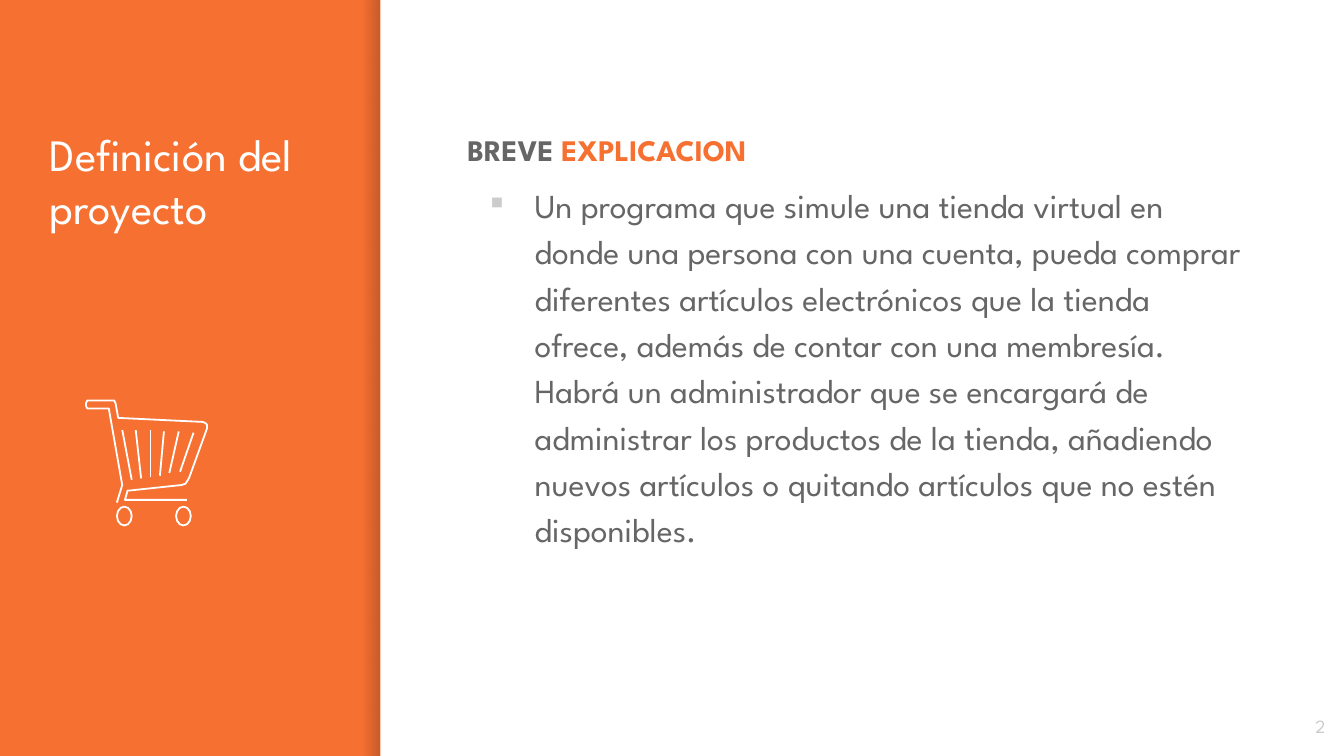
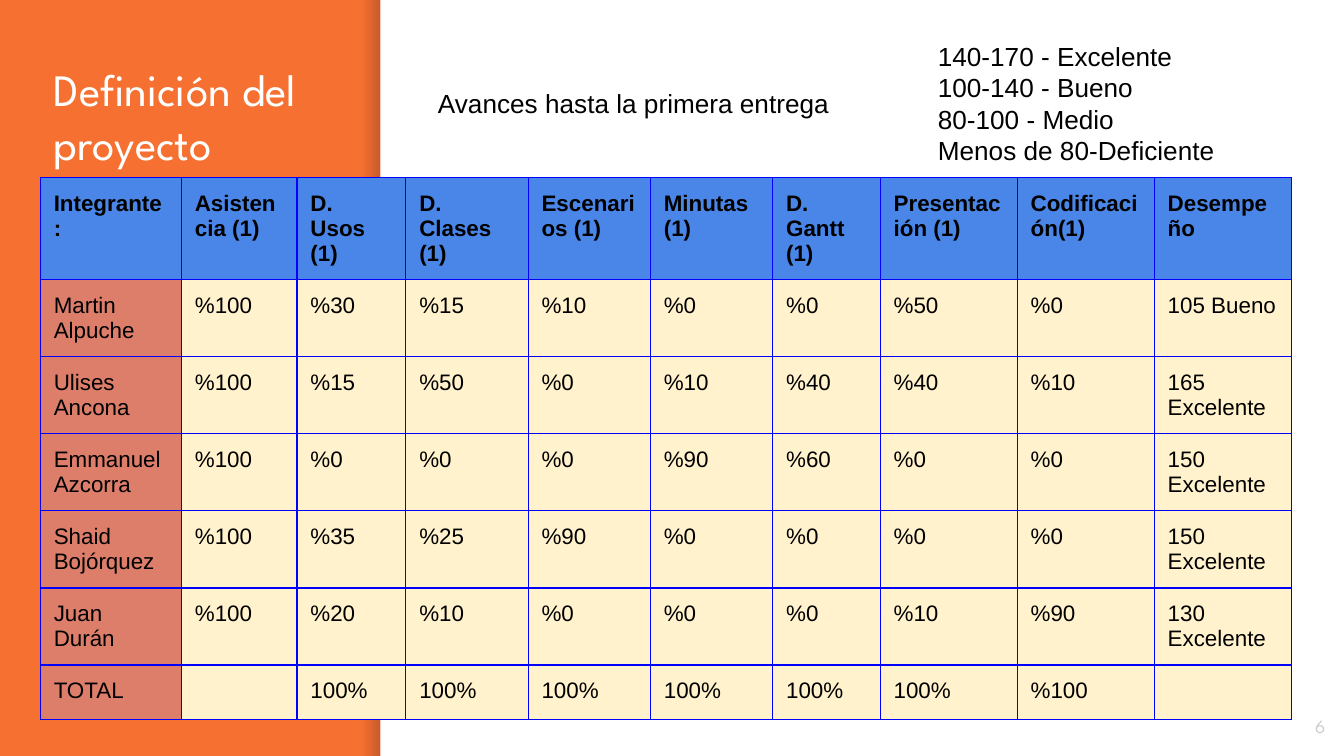
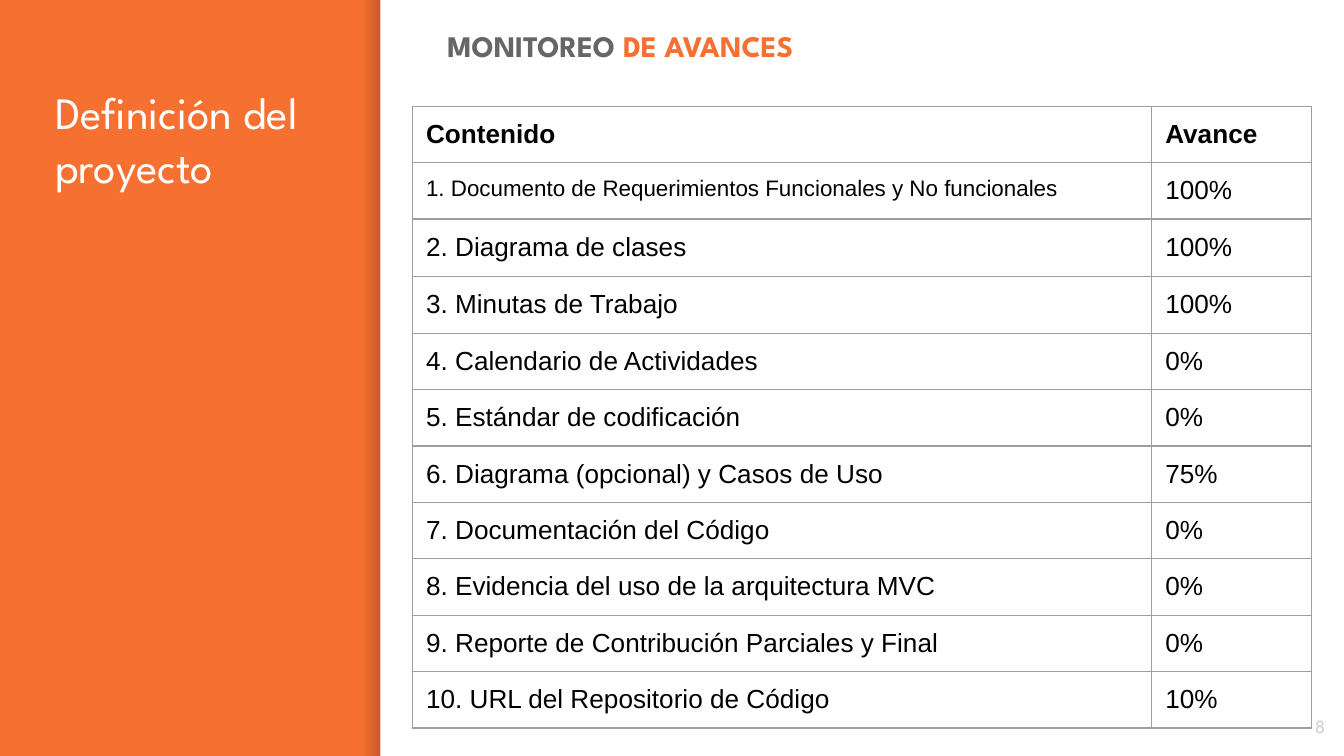
from lxml import etree
from pptx import Presentation
from pptx import util as u
from pptx.dml.color import RGBColor
from pptx.enum import shapes, text
from pptx.oxml import ns

COLOURS = {
    "orange": "F67031", "white": "FFFFFF", "grey": "666666", "pale": "CCCCCC",
    "black": "000000", "shade": "000014", "header": "4A86E8", "member": "DD7E6B",
    "score": "FFF2CC", "blue_rule": "0000FF", "grey_rule": "9E9E9E",
}
STYLES = {
    "title": ({"name": "League Spartan", "size": u.Pt(24), "bold": False}, "white"),
    "heading": ({"name": "League Spartan", "size": u.Pt(16), "bold": True}, "grey"),
    "accent": ({"name": "League Spartan", "size": u.Pt(16), "bold": True}, "orange"),
    "body": ({"name": "League Spartan", "size": u.Pt(18), "bold": False}, "grey"),
    "number": ({"name": "League Spartan", "size": u.Pt(10), "bold": False}, "pale"),
    "note": ({"name": "Arial", "size": u.Pt(14), "bold": False}, "black"),
    "note_bold": ({"name": "Arial", "size": u.Pt(14), "bold": True}, "black"),
    "small": ({"name": "Arial", "size": u.Pt(12), "bold": False}, "black"),
    "small_bold": ({"name": "Arial", "size": u.Pt(12), "bold": True}, "black"),
}
PAGE_SIZE = (10, 10 * 9 / 16)
BODY_SIZE = (5.98, 4.13)
EXPLANATION = (
    "Un programa que simule una tienda virtual en donde una persona con una cuenta, "
    "pueda comprar diferentes artículos electrónicos que la tienda ofrece, además de "
    "contar con una membresía. Habrá un administrador que se encargará de administrar "
    "los productos de la tienda, añadiendo nuevos artículos o quitando artículos que no "
    "estén disponibles."
)
SCALE = ["140-170 - Excelente", "100-140 - Bueno", "80-100 - Medio", "Menos de 80-Deficiente"]
MEMBER_WIDTHS = [1.05, 0.86, 0.81, 0.91, 0.91, 0.91, 0.8, 1.02, 1.02, 1.02]
MEMBER_HEIGHTS = [0.76] + [0.57] * 5 + [0.4]
MEMBER_ROWS = [
    ["Integrante:", "Asistencia (1)", "D. Usos\n(1)", "D. Clases\n(1)", "Escenarios (1)",
     "Minutas\n(1)", "D. Gantt\n(1)", "Presentación (1)", "Codificación(1)", "Desempeño"],
    ["Martin Alpuche", "%100", "%30", "%15", "%10", "%0", "%0", "%50", "%0", "105 Bueno"],
    ["Ulises Ancona", "%100", "%15", "%50", "%0", "%10", "%40", "%40", "%10", "165 Excelente"],
    ["Emmanuel Azcorra", "%100", "%0", "%0", "%0", "%90", "%60", "%0", "%0", "150 Excelente"],
    ["Shaid Bojórquez", "%100", "%35", "%25", "%90", "%0", "%0", "%0", "%0", "150 Excelente"],
    ["Juan\nDurán", "%100", "%20", "%10", "%0", "%0", "%0", "%10", "%90", "130 Excelente"],
    ["TOTAL", "", "100%", "100%", "100%", "100%", "100%", "100%", "%100", ""],
]
PROGRESS_HEIGHTS = [0.42] * 2 + [0.43] + [0.42] * 8
PROGRESS_ROWS = [
    ("Contenido", "Avance"),
    ("1. Documento de Requerimientos Funcionales y No funcionales", "100%"),
    ("2. Diagrama de clases", "100%"),
    ("3. Minutas de Trabajo", "100%"),
    ("4. Calendario de Actividades", "0%"),
    ("5. Estándar de codificación", "0%"),
    ("6. Diagrama (opcional) y Casos de Uso", "75%"),
    ("7. Documentación del Código", "0%"),
    ("8. Evidencia del uso de la arquitectura MVC", "0%"),
    ("9. Reporte de Contribución Parciales y Final", "0%"),
    ("10. URL del Repositorio de Código", "10%"),
]
BASKET = [
    (0.75, 0.74), (0.29, 0.74), (0.31, 0.67), (0.33, 0.67), (0.71, 0.63), (0.74, 0.62),
    (0.76, 0.59), (0.77, 0.57), (0.9, 0.21), (0.9, 0.18), (0.89, 0.17), (0.87, 0.16),
    (0.24, 0.13), (0.22, 0.02), (0.21, 0), (0.19, 0), (0.03, 0), (0.01, 0), (0, 0.02),
    (0, 0.04), (0.01, 0.06), (0.03, 0.06), (0.17, 0.06), (0.27, 0.63), (0.23, 0.76),
]
BARS = [
    (0.8, 0.24, 0.7, 0.53), (0.69, 0.23, 0.62, 0.54), (0.58, 0.23, 0.55, 0.56),
    (0.48, 0.22, 0.48, 0.57), (0.37, 0.22, 0.41, 0.58), (0.27, 0.22, 0.34, 0.59),
]


def colour(name):
    """Return the named colour."""
    return RGBColor.from_string(COLOURS[name])


def inches(*values):
    """Return the values as lengths."""
    return [u.Inches(value) for value in values]


def apply(target, values):
    """Set each named attribute of the target."""
    for name, value in values.items():
        setattr(target, name, value)


def write(para, spans, **values):
    """Add styled spans to a paragraph and format it."""
    for words, style in spans:
        span = para.add_run()
        span.text = words
        font_values, ink = STYLES[style]
        apply(span.font, font_values)
        span.font.color.rgb = colour(ink)
    apply(para, values)


def fill_frame(frame, lines, inset=0.1, anchor=text.MSO_ANCHOR.TOP, **values):
    """Fill a text frame with one paragraph for each list of spans."""
    side, edge = inches(0.1, inset)
    apply(frame, {
        "word_wrap": True, "auto_size": text.MSO_AUTO_SIZE.NONE, "vertical_anchor": anchor,
        "margin_left": side, "margin_right": side, "margin_top": edge, "margin_bottom": edge,
    })
    for index, spans in enumerate(lines):
        para = frame.add_paragraph() if index else frame.paragraphs[0]
        write(para, spans, **values)


def add_text(page, box, lines, **values):
    """Add a text box and return its frame."""
    frame = page.shapes.add_textbox(*inches(*box)).text_frame
    fill_frame(frame, lines, **values)
    return frame


def add_band(page, box):
    """Add a borderless rectangle."""
    band = page.shapes.add_shape(shapes.MSO_SHAPE.RECTANGLE, *inches(*box))
    band.shadow.inherit = False
    band.line.fill.background()
    return band


def add_base(deck, title_at, number):
    """Add a page with its bands, title and number."""
    page = deck.slides.add_slide(deck.slide_layouts[5])
    page.background.fill.solid()
    page.background.fill.fore_color.rgb = colour("orange")
    width, height = PAGE_SIZE
    edge = add_band(page, (2.7, 0, 0.12, height))
    edge.fill.gradient()
    edge.fill.gradient_angle = 0
    for stop in edge.fill.gradient_stops:
        stop.color.rgb = colour("shade")
    for node, alpha in zip(edge.element.iter(ns.qn("a:srgbClr")), (0, 20)):
        etree.SubElement(node, ns.qn("a:alpha"), val=str(alpha * 1000))
    panel = add_band(page, (2.83, 0, width - 2.83, height))
    panel.fill.solid()
    panel.fill.fore_color.rgb = colour("white")
    title = page.shapes.title
    apply(title, dict(zip(("left", "top", "width", "height"), inches(*title_at, 2.24, 4.35))))
    fill_frame(title.text_frame, [[("Definición del proyecto", "title")]],
               alignment=text.PP_ALIGN.LEFT)
    add_text(page, (9.36, 5.19, 0.6, 0.43), [[(str(number), "number")]],
             anchor=text.MSO_ANCHOR.MIDDLE, alignment=text.PP_ALIGN.RIGHT)
    return page


def add_body(page, corner, first, second, *bullets):
    """Add a two-colour heading and the bullets below it."""
    lines = [[(first, "heading"), (second, "accent")]]
    lines += [[(bullet, "body")] for bullet in bullets]
    frame = add_text(page, (*corner, *BODY_SIZE), lines, line_spacing=1.15, space_before=u.Pt(6))
    for para in frame.paragraphs[1:]:
        settings = para._p.get_or_add_pPr()
        settings.set("marL", str(u.Inches(0.5)))
        settings.set("indent", str(u.Inches(-0.33)))
        tint = etree.SubElement(settings, ns.qn("a:buClr"))
        etree.SubElement(tint, ns.qn("a:srgbClr"), val=COLOURS["pale"])
        etree.SubElement(settings, ns.qn("a:buFont"), typeface="League Spartan")
        etree.SubElement(settings, ns.qn("a:buChar"), char="▪")


def add_cart(page, left, top):
    """Draw a line-art shopping cart from its top left corner."""
    cart = page.shapes.add_group_shape().shapes
    points = [inches(left + x, top + y) for x, y in BASKET]
    builder = cart.build_freeform(*points[0])
    builder.add_line_segments(points[1:], close=False)
    outlines = [builder.convert_to_shape()]
    for x in (0.23, 0.67):
        outlines.append(cart.add_shape(
            shapes.MSO_SHAPE.OVAL, *inches(left + x, top + 0.79, 0.11, 0.14)))
    for outline in outlines:
        outline.shadow.inherit = False
        outline.fill.background()
    for x1, y1, x2, y2 in BARS:
        bar = cart.add_connector(shapes.MSO_CONNECTOR.STRAIGHT,
                                 *inches(left + x1, top + y1, left + x2, top + y2))
        outlines.append(bar)
    for outline in outlines:
        outline.line.color.rgb = colour("white")
        outline.line.width = u.Pt(0.96)
    for bar in outlines[-len(BARS):]:
        etree.SubElement(bar.element.spPr, ns.qn("a:effectLst"))


def add_borders(cell, rule):
    """Draw the four borders of a table cell."""
    settings = cell._tc.get_or_add_tcPr()
    for side in ("lnL", "lnR", "lnT", "lnB"):
        border = etree.SubElement(settings, ns.qn(f"a:{side}"), w=str(u.Pt(0.75)))
        solid = etree.SubElement(border, ns.qn("a:solidFill"))
        etree.SubElement(solid, ns.qn("a:srgbClr"), val=COLOURS[rule])


def add_grid(page, corner, widths, heights, rows, rule, style_of, fill_of):
    """Add a bordered table, with style and fill chosen by row and column."""
    box = (*corner, sum(widths), sum(heights))
    table = page.shapes.add_table(len(rows), len(widths), *inches(*box)).table
    apply(table, {"first_row": False, "horz_banding": False})
    for column, width in zip(table.columns, widths):
        column.width = u.Inches(width)
    for r, (row, height) in enumerate(zip(rows, heights)):
        table.rows[r].height = u.Inches(height)
        for c, words in enumerate(row):
            cell = table.cell(r, c)
            margin = u.Inches(0.1)
            apply(cell, {f"margin_{side}": margin for side in ("left", "right", "top", "bottom")})
            add_borders(cell, rule)
            fill = fill_of(r, c)
            if fill:
                cell.fill.solid()
                cell.fill.fore_color.rgb = colour(fill)
            else:
                cell.fill.background()
            style = style_of(r, c)
            for index, line in enumerate(words.split("\n")):
                frame = cell.text_frame
                para = frame.add_paragraph() if index else frame.paragraphs[0]
                if line:
                    write(para, [(line, style)])
                else:
                    size = STYLES[style][0]["size"]
                    para._p.get_or_add_endParaRPr().set("sz", str(size.centipoints))


def build_explanation(deck):
    """Build the page that explains the project."""
    page = add_base(deck, (0.27, 0.84), 2)
    add_body(page, (3.38, 0.84), "BREVE ", "EXPLICACION", EXPLANATION)
    add_cart(page, 0.64, 2.98)


def build_members(deck):
    """Build the page that rates each member."""
    page = add_base(deck, (0.3, 0.36), 6)
    add_grid(page, (0.3, 1.32), MEMBER_WIDTHS, MEMBER_HEIGHTS, MEMBER_ROWS, "blue_rule",
             lambda r, c: "small" if r else "small_bold",
             lambda r, c: "header" if r == 0 else "score" if c else "member")
    add_text(page, (3.16, 0.6, 3.98, 0.34), [[("Avances hasta la primera entrega", "note")]],
             inset=0.05)
    add_text(page, (6.88, 0.25, 2.6, 1.28), [[(line, "note")] for line in SCALE], inset=0.05)


def build_progress(deck):
    """Build the page that tracks each deliverable."""
    page = add_base(deck, (0.31, 0.53), 8)
    add_body(page, (3.23, 0.07), "MONITOREO ", "DE AVANCES")
    add_grid(page, (3.07, 0.79), [5.5, 1.19], PROGRESS_HEIGHTS, PROGRESS_ROWS, "grey_rule",
             lambda r, c: "note_bold" if r == 0 else "small" if (r, c) == (1, 0) else "note",
             lambda r, c: None)


def main():
    """Build and save the deck."""
    deck = Presentation()
    deck.slide_width, deck.slide_height = inches(*PAGE_SIZE)
    for build in (build_explanation, build_members, build_progress):
        build(deck)
    deck.save("out.pptx")


if __name__ == "__main__":
    main()
